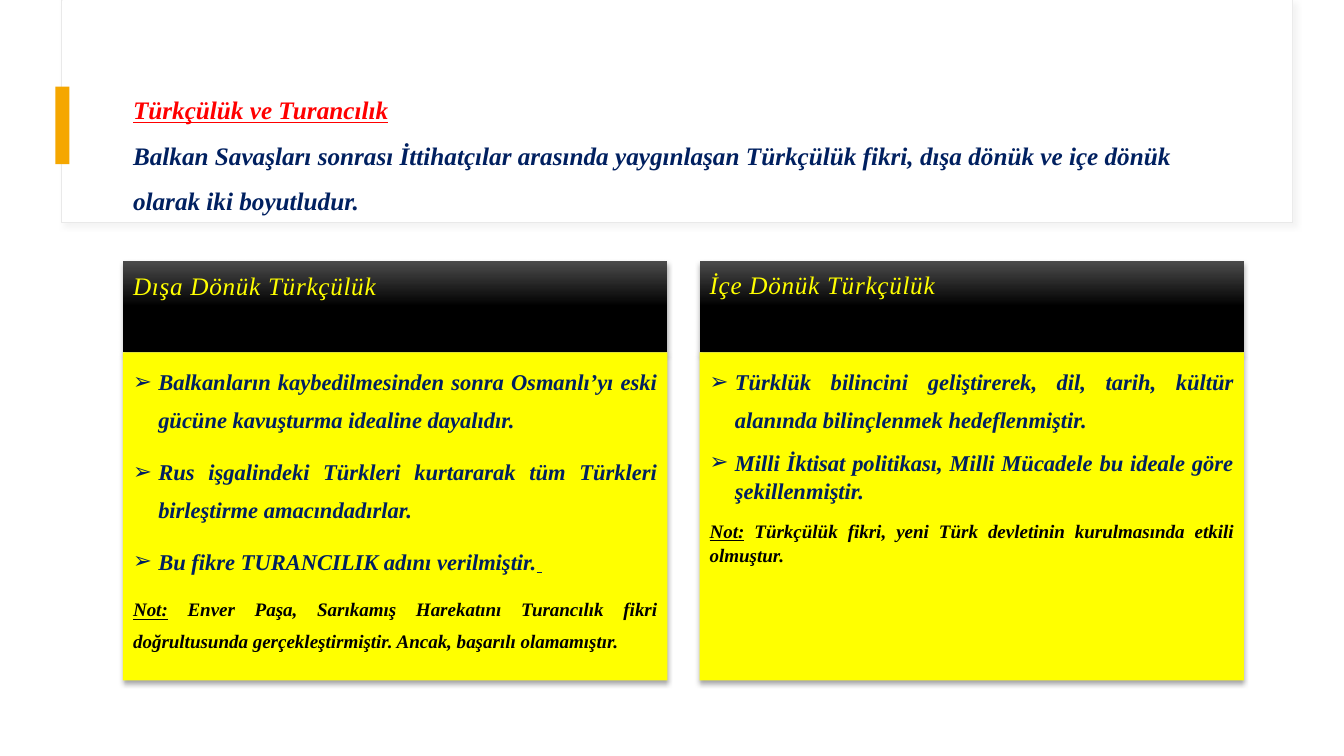
from lxml import etree
from pptx import Presentation
from pptx.dml.color import RGBColor
from pptx.enum.shapes import MSO_SHAPE as Preset
from pptx.enum.text import MSO_ANCHOR as Anchor, MSO_AUTO_SIZE as AutoSize, PP_ALIGN as Align
from pptx.oxml.ns import qn
from pptx.util import Pt

# Content
TITLE = "Türkçülük ve Turancılık"
INTRO = ("Balkan Savaşları sonrası İttihatçılar arasında yaygınlaşan Türkçülük fikri, "
         "dışa dönük ve içe dönük olarak iki boyutludur.")
COLUMNS = [
    dict(header="Dışa Dönük Türkçülük ",
         header_format=dict(align=Align.JUSTIFY, spacing=1.15, after=10),
         bullets=[("Balkanların kaybedilmesinden sonra Osmanlı’yı eski gücüne "
                   "kavuşturma idealine dayalıdır.", 1.4),
                  ("Rus işgalindeki Türkleri kurtararak tüm Türkleri birleştirme "
                   "amacındadırlar.", 1.4),
                  ("Bu fikre TURANCILIK adını verilmiştir.", 1.4)],
         underlined_end=" ",
         note=(" Enver Paşa, Sarıkamış Harekatını Turancılık fikri doğrultusunda "
               "gerçekleştirmiştir. Ancak, başarılı olamamıştır.", 1.4)),
    dict(header="İçe Dönük Türkçülük",
         header_format=dict(align=Align.LEFT, spacing=1.1, before=10),
         bullets=[("Türklük bilincini geliştirerek, dil, tarih, kültür alanında "
                   "bilinçlenmek hedeflenmiştir.", 1.4),
                  ("Milli İktisat politikası, Milli Mücadele bu ideale göre "
                   "şekillenmiştir.", 1.05)],
         underlined_end="",
         note=(" Türkçülük fikri, yeni Türk devletinin kurulmasında etkili olmuştur.", 1.05)),
]
COLORS = dict(white="FFFFFF", frame="E9E9E9", frame_shadow="D9D9D9", accent="F5A700",
              red="FF0000", navy="002060", yellow="FFFF00", black="000000", gray="4B4B4B")
FONT = "Times New Roman"

# Layout in points
LEFT, COLUMN_WIDTH, COLUMN_STEP = 87.84, 388.8, 411.84
HEADER_TOP, HEADER_HEIGHT, BODY_TOP, BODY_HEIGHT = 186.48, 65.2, 251.68, 234.32
INDENT = 18


def rgb(name):
    return RGBColor.from_string(COLORS[name])


def add_shadow(effects, color, alpha, blur, distance, angle):
    shadow = etree.SubElement(effects, qn("a:outerShdw"), blurRad=str(Pt(blur)),
                              dist=str(Pt(distance)), dir=str(angle * 60000),
                              algn="t", rotWithShape="0")
    tint = etree.SubElement(shadow, qn("a:srgbClr"), val=COLORS[color])
    etree.SubElement(tint, qn("a:alpha"), val=str(alpha * 1000))


def shape_shadow(shape, *values):
    shape.shadow.inherit = False
    add_shadow(shape.element.spPr.find(qn("a:effectLst")), *values)


def add_text(paragraph, text, size=18, color="navy", bold=True, underline=False, glow=False):
    run = paragraph.add_run()
    run.text = text
    font = run.font
    font.name, font.size = FONT, Pt(size)
    font.bold, font.italic, font.underline = bold, True, underline
    font.color.rgb = rgb(color)
    if glow:  # outlined, letter-spaced heading text
        properties = run.font._element
        properties.set("spc", "50")
        outline = etree.Element(qn("a:ln"), w=str(Pt(0.75)))
        fill = etree.SubElement(outline, qn("a:solidFill"))
        etree.SubElement(fill, qn("a:srgbClr"), val=COLORS["accent"])
        properties.insert(0, outline)
        effects = etree.Element(qn("a:effectLst"))
        properties.insert(2, effects)
        add_shadow(effects, "accent", 60, 2, 1.5, 45)


def format_paragraph(paragraph, align=Align.JUSTIFY, spacing=1.0, before=0, after=0, bullet=False):
    paragraph.alignment, paragraph.line_spacing = align, spacing
    paragraph.space_before, paragraph.space_after = Pt(before), Pt(after)
    properties = paragraph._p.get_or_add_pPr()
    properties.set("marL", str(Pt(INDENT if bullet else 0)))
    properties.set("indent", str(Pt(-INDENT if bullet else 0)))
    if bullet:
        etree.SubElement(properties, qn("a:buChar"), char="➢")
    else:
        etree.SubElement(properties, qn("a:buNone"))


def place(placeholder, left, top, width, height, anchor=Anchor.TOP):
    placeholder.left, placeholder.top = Pt(left), Pt(top)
    placeholder.width, placeholder.height = Pt(width), Pt(height)
    frame = placeholder.text_frame
    frame.word_wrap, frame.auto_size, frame.vertical_anchor = True, AutoSize.NONE, anchor
    return frame


presentation = Presentation()
presentation.slide_width, presentation.slide_height = Pt(960), Pt(540)
slide = presentation.slides.add_slide(presentation.slide_layouts.get_by_name("Comparison"))
title = slide.shapes.title

# Frame and accent bar behind the title
for left, top, width, height, color, framed in [
        (43.92, 0, 879.12, 159.12, "white", True),
        (44.64, 0, 878.4, 158.4, "white", False),
        (39.6, 61.92, 10.08, 55.44, "accent", False)]:
    shape = slide.shapes.add_shape(Preset.RECTANGLE, Pt(left), Pt(top), Pt(width), Pt(height))
    shape.fill.solid()
    shape.fill.fore_color.rgb = rgb(color)
    if framed:
        shape.line.color.rgb = rgb("frame")
        shape.line.width = Pt(0.75)
        shape_shadow(shape, "frame_shadow", 30, 4, 3, 45)
    else:
        shape.line.fill.background()
        shape.shadow.inherit = False
    title.element.addprevious(shape.element)

# Title
paragraph = place(title, LEFT, 54, 800.64, 102.96, Anchor.MIDDLE).paragraphs[0]
format_paragraph(paragraph, align=Align.LEFT, spacing=1.5)
add_text(paragraph, TITLE, color="red", underline=True)
paragraph.add_line_break()
add_text(paragraph, INTRO)

# Two columns, each a header over a body
for number, column in enumerate(COLUMNS):
    left = LEFT + number * COLUMN_STEP
    header = slide.placeholders[1 + 2 * number]
    body = slide.placeholders[2 + 2 * number]

    paragraph = place(header, left, HEADER_TOP, COLUMN_WIDTH, HEADER_HEIGHT).paragraphs[0]
    header.fill.gradient()
    header.fill.gradient_angle = 270
    for stop, color, position in zip(header.fill.gradient_stops, ("gray", "black"), (0, 0.5)):
        stop.color.rgb, stop.position = rgb(color), position
    format_paragraph(paragraph, **column["header_format"])
    add_text(paragraph, column["header"], color="yellow", bold=False, glow=True)

    frame = place(body, left, BODY_TOP, COLUMN_WIDTH, BODY_HEIGHT)
    body.fill.solid()
    body.fill.fore_color.rgb = rgb("yellow")
    paragraph = frame.paragraphs[0]
    for text, spacing in column["bullets"]:
        format_paragraph(paragraph, spacing=spacing, after=10, bullet=True)
        add_text(paragraph, text, size=16.1)
        last_bullet, paragraph = paragraph, frame.add_paragraph()
    if column["underlined_end"]:
        add_text(last_bullet, column["underlined_end"], size=16.1, underline=True)

    note, spacing = column["note"]
    format_paragraph(paragraph, spacing=spacing, after=10)
    add_text(paragraph, "Not:", size=13.6, color="black", underline=True)
    add_text(paragraph, note, size=13.6, color="black")

    for panel in (header, body):
        shape_shadow(panel, "black", 32, 3.5, 2.2, 90)

presentation.save("out.pptx")
